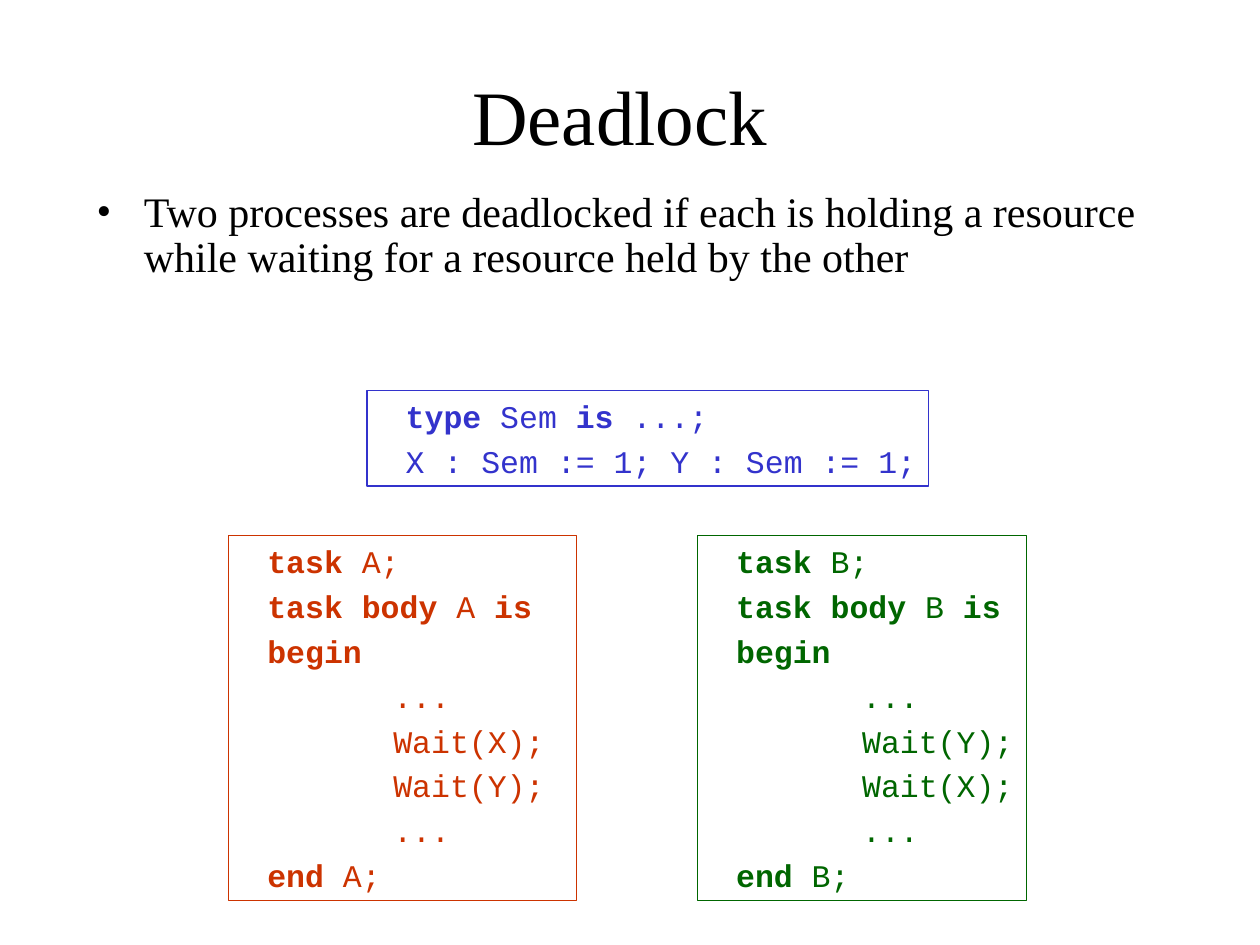
import lxml.etree
import pptx
import pptx.dml.color
import pptx.enum.shapes
import pptx.enum.text
import pptx.oxml.ns
import pptx.util

Cm = pptx.util.Cm
Pt = pptx.util.Pt
RGBColor = pptx.dml.color.RGBColor

BLACK = RGBColor(0x00, 0x00, 0x00)
BLUE = RGBColor(0x33, 0x33, 0xCC)
GREEN = RGBColor(0x00, 0x66, 0x00)
RED = RGBColor(0xCC, 0x33, 0x00)
SERIF = "Times New Roman"
MONO = "Courier New"
TAB_STEP = Cm(2.54)
TAB_COUNT = 8


def add_property(para, tag, **attributes):
    properties = para._p.get_or_add_pPr()
    return lxml.etree.SubElement(properties, pptx.oxml.ns.qn(tag), attributes)


def set_indent(para, left, first):
    properties = para._p.get_or_add_pPr()
    properties.set("marL", str(left))
    properties.set("indent", str(first))


def set_tabs(para):
    para._p.get_or_add_pPr().set("defTabSz", str(TAB_STEP))
    tabs = add_property(para, "a:tabLst")
    for number in range(TAB_COUNT):
        lxml.etree.SubElement(tabs, pptx.oxml.ns.qn("a:tab"),
                              pos=str(number * TAB_STEP), algn="l")


def add_span(para, text, font_name, size, color, bold=False):
    span = para.add_run()
    span.text = text
    span.font.name = font_name
    span.font.size = Pt(size)
    span.font.color.rgb = color
    span.font.bold = bold


def add_title(page, left, top, width, height, text):
    frame = page.shapes.add_textbox(left, top, width, height).text_frame
    frame.word_wrap = True
    frame.vertical_anchor = pptx.enum.text.MSO_ANCHOR.MIDDLE
    para = frame.paragraphs[0]
    para.alignment = pptx.enum.text.PP_ALIGN.CENTER
    add_span(para, text, SERIF, 44, BLACK)


def add_bullet(page, left, top, width, height, text):
    frame = page.shapes.add_textbox(left, top, width, height).text_frame
    frame.word_wrap = True
    para = frame.paragraphs[0]
    set_indent(para, Cm(0.95), -Cm(0.95))
    add_property(para, "a:buFont", typeface=SERIF)
    add_property(para, "a:buChar", char="•")
    para.line_spacing = 0.9
    add_span(para, text, SERIF, 24, BLACK)


def add_code_box(page, left, top, width, height, color, lines):
    """Frame code lines; each line is a list of (text, is_keyword) pairs."""
    box = page.shapes.add_shape(
        pptx.enum.shapes.MSO_SHAPE.RECTANGLE, left, top, width, height)
    box.shadow.inherit = False
    box.fill.background()
    box.line.color.rgb = color
    box.line.width = Pt(0.75)
    frame = box.text_frame
    frame.word_wrap = True
    frame.vertical_anchor = pptx.enum.text.MSO_ANCHOR.TOP
    frame.margin_left = Cm(0.25)
    frame.margin_top = Cm(0.13)
    frame.margin_right = frame.margin_bottom = 0
    for number, line in enumerate(lines):
        para = frame.add_paragraph() if number else frame.paragraphs[0]
        set_indent(para, Cm(0.53), 0)
        set_tabs(para)
        para.alignment = pptx.enum.text.PP_ALIGN.LEFT
        if number:
            para.space_before = Pt(2)
        para.space_after = Pt(2)
        for text, is_keyword in line:
            add_span(para, text, MONO, 18, color, is_keyword)


def task_lines(name, first, second):
    """Code of a task that waits for two semaphores in the given order."""
    body = ["...", f"Wait({first});", f"Wait({second});", "..."]
    return [
        [("task", True), (f" {name};", False)],
        [("task body", True), (f" {name} ", False), ("is", True)],
        [("begin", True)],
        *[[("\t" + statement, False)] for statement in body],
        [("end", True), (f" {name};", False)],
    ]


def build_deadlock_page(page):
    add_title(page, Cm(1.7), Cm(0.73), Cm(21.59), Cm(3.18), "Deadlock")
    add_bullet(page, Cm(1.7), Cm(3.73), Cm(21.59), Cm(2.82),
               "Two processes are deadlocked if each is holding a resource "
               "while waiting for a resource held by the other")
    semaphores = [
        [("type", True), (" Sem ", False), ("is", True), (" ...;", False)],
        [("X : Sem := 1; Y : Sem := 1;", False)],
    ]
    add_code_box(page, Cm(7.4), Cm(7.87), Cm(11.32), Cm(1.93), BLUE, semaphores)
    task_top, task_height = Cm(10.8), Cm(7.35)
    add_code_box(page, Cm(14.06), task_top, Cm(6.63), task_height, GREEN,
                 task_lines("B", "Y", "X"))
    add_code_box(page, Cm(4.61), task_top, Cm(7.01), task_height, RED,
                 task_lines("A", "X", "Y"))


def main():
    deck = pptx.Presentation()
    deck.slide_width, deck.slide_height = Cm(25.4), Cm(19.05)
    build_deadlock_page(deck.slides.add_slide(deck.slide_layouts[6]))
    deck.save("out.pptx")


if __name__ == "__main__":
    main()
